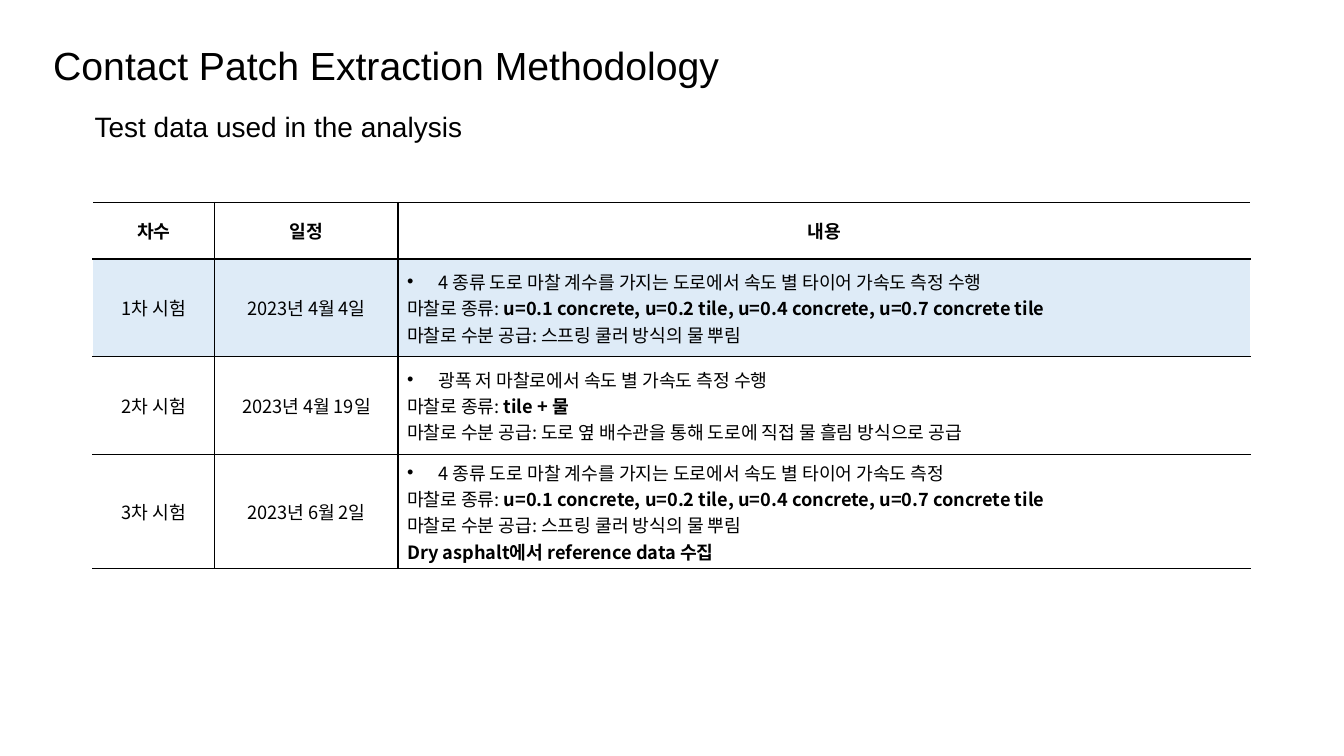
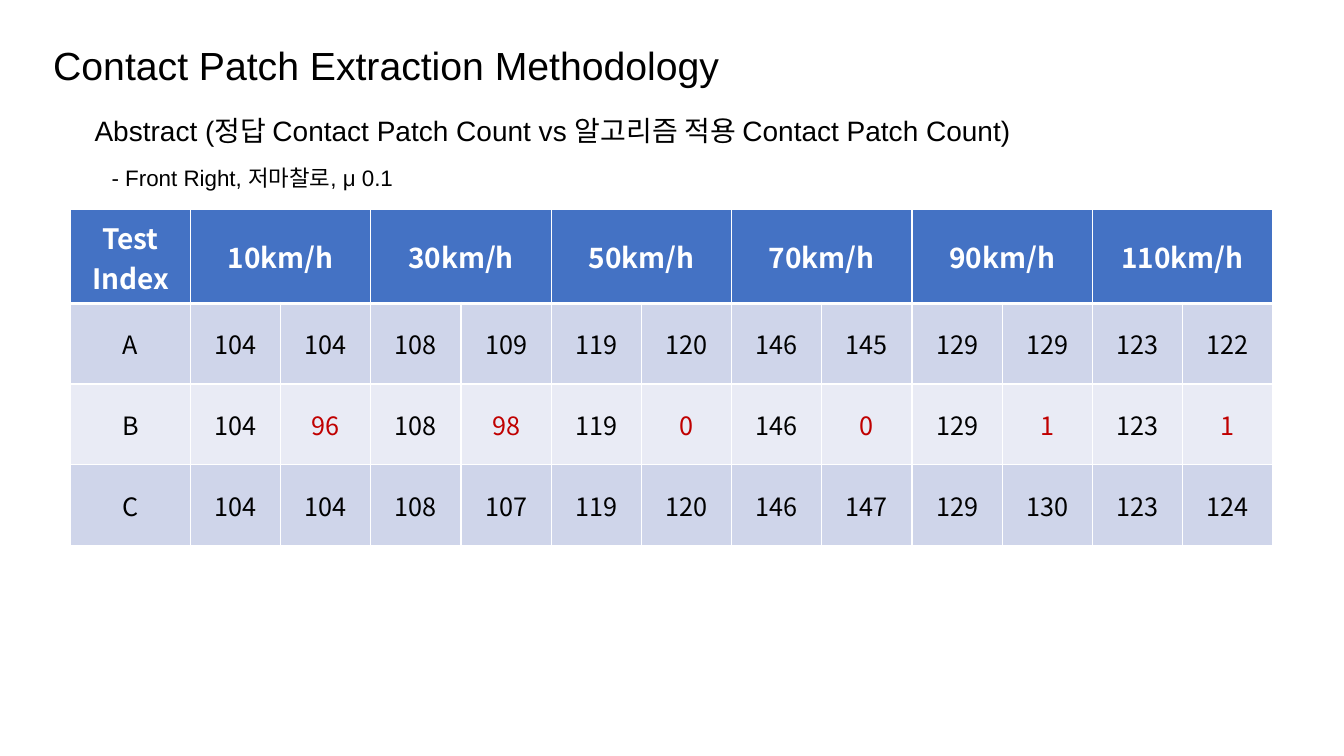
from dataclasses import dataclass

import lxml.etree
import pptx
import pptx.dml.color
import pptx.enum.text
import pptx.oxml.ns
import pptx.util

EMU_PER_PX = 4572  # 200 px to the inch
ALIGN = pptx.enum.text.PP_ALIGN
ANCHOR = pptx.enum.text.MSO_ANCHOR


@dataclass(frozen=True)
class Theme:
    heading_font: str = "Arial"
    table_font: str = "Noto Sans CJK KR"
    ink: str = "000000"
    paper: str = "FFFFFF"
    highlight: str = "DEEBF7"
    header: str = "4472C4"
    band_dark: str = "CFD5EA"
    band_light: str = "E9EBF5"
    alert: str = "C00000"
    title_pt: int = 28
    subtitle_pt: int = 20
    note_pt: int = 16
    schedule_pt: int = 13
    speed_pt: int = 20
    count_pt: int = 18


THEME = Theme()
TITLE = "Contact Patch Extraction Methodology"

# Test schedule: round, date, description lines as (plain, bold) parts
FOUR_SURFACES = ("마찰로 종류: ", "u=0.1 concrete, u=0.2 tile, u=0.4 concrete, u=0.7 concrete tile")
SPRINKLER = ("마찰로 수분 공급: 스프링 쿨러 방식의 물 뿌림", "")
SCHEDULE_HEADINGS = ["차수", "일정", "내용"]
SCHEDULE = [
    ("1차 시험", "2023년 4월 4일", [
        ("4 종류 도로 마찰 계수를 가지는 도로에서 속도 별 타이어 가속도 측정 수행", ""),
        FOUR_SURFACES, SPRINKLER]),
    ("2차 시험", "2023년 4월 19일", [
        ("광폭 저 마찰로에서 속도 별 가속도 측정 수행", ""),
        ("마찰로 종류: ", "tile + 물"),
        ("마찰로 수분 공급: 도로 옆 배수관을 통해 도로에 직접 물 흘림 방식으로 공급", "")]),
    ("3차 시험", "2023년 6월 2일", [
        ("4 종류 도로 마찰 계수를 가지는 도로에서 속도 별 타이어 가속도 측정", ""),
        FOUR_SURFACES, SPRINKLER,
        ("", "Dry asphalt에서 reference data 수집")]),
]
SCHEDULE_HEIGHTS = [112, 194, 194, 226]

# Contact patch counts: the true count per speed, then the count found per index
TRUE_COUNTS = {10: 104, 30: 108, 50: 119, 70: 146, 90: 129, 110: 123}
FOUND_COUNTS = {
    "A": [104, 109, 120, 145, 129, 122],
    "B": [96, 98, 0, 0, 1, 1],
    "C": [104, 107, 120, 147, 130, 124],
}
TOLERANCE = 5


def px(length):
    return pptx.util.Emu(length * EMU_PER_PX)


def rgb(color):
    return pptx.dml.color.RGBColor.from_string(color)


def style_font(paragraph, face, size, color, bold=False):
    font = paragraph.font
    font.name, font.size, font.bold = face, pptx.util.Pt(size), bold
    font.color.rgb = rgb(color)


def add_line(slide, text, box, size, spacing=1.0, anchor=ANCHOR.TOP):
    frame = slide.shapes.add_textbox(*map(px, box)).text_frame
    frame.word_wrap = True
    frame.vertical_anchor = anchor
    paragraph = frame.paragraphs[0]
    paragraph.text = text
    paragraph.line_spacing = spacing
    style_font(paragraph, THEME.heading_font, size, THEME.ink)


def add_titled_slide(deck, subtitle, spacing):
    slide = deck.slides.add_slide(deck.slide_layouts[6])
    add_line(slide, TITLE, (86, 70, 2160, 130), THEME.title_pt, 0.9, ANCHOR.MIDDLE)
    add_line(slide, subtitle, (168, 216, 2328, 100), THEME.subtitle_pt, spacing)
    return slide


def add_grid(slide, left, top, widths, heights):
    table = slide.shapes.add_table(
        len(heights), len(widths), px(left), px(top), px(sum(widths)), px(sum(heights))).table
    table.first_row = table.horz_banding = False
    for column, width in zip(table.columns, widths):
        column.width = px(width)
    for row, height in zip(table.rows, heights):
        row.height = px(height)
    return table


def format_cell(cell, fill, margins, borders):
    """Borders are (color, points) for left, right, top and bottom."""
    cell.vertical_anchor = ANCHOR.MIDDLE
    cell.margin_left = cell.margin_right = px(margins[0])
    cell.margin_top = cell.margin_bottom = px(margins[1])
    properties = cell._tc.get_or_add_tcPr()
    for side, (color, points) in zip("LRTB", borders):
        line = lxml.etree.SubElement(properties, pptx.oxml.ns.qn(f"a:ln{side}"),
                                     w=str(pptx.util.Pt(points)))
        solid = lxml.etree.SubElement(line, pptx.oxml.ns.qn("a:solidFill"))
        lxml.etree.SubElement(solid, pptx.oxml.ns.qn("a:srgbClr"), val=color)
    if fill:
        cell.fill.solid()
        cell.fill.fore_color.rgb = rgb(fill)
    else:
        cell.fill.background()


def style_table_text(paragraph, size, color, bold=False):
    style_font(paragraph, THEME.table_font, size, color, bold)
    lxml.etree.SubElement(paragraph.font._element, pptx.oxml.ns.qn("a:ea"),
                          typeface=THEME.table_font)


def write_centred(cell, text, size, color, bold=False):
    paragraph = cell.text_frame.paragraphs[0]
    paragraph.text = text
    paragraph.alignment = ALIGN.CENTER
    style_table_text(paragraph, size, color, bold)


def write_description(cell, lines):
    """The first line is bulleted; the others hang from the same edge."""
    frame = cell.text_frame
    for index, (plain, strong) in enumerate(lines):
        paragraph = frame.add_paragraph() if index else frame.paragraphs[0]
        properties = paragraph._p.get_or_add_pPr()
        properties.set("marL", str(px(62)))
        properties.set("indent", str(px(-62)))
        if index:
            lxml.etree.SubElement(properties, pptx.oxml.ns.qn("a:buNone"))
        else:
            lxml.etree.SubElement(properties, pptx.oxml.ns.qn("a:buFont"), typeface="Arial")
            lxml.etree.SubElement(properties, pptx.oxml.ns.qn("a:buChar"), char="•")
        style_table_text(paragraph, THEME.schedule_pt, THEME.ink)
        for text, bold in ((plain, False), (strong, True)):
            if text:
                run = paragraph.add_run()
                run.text = text
                if bold:
                    run.font.bold = True


def add_schedule(slide):
    table = add_grid(slide, 184, 402, [242, 364, 1692], SCHEDULE_HEIGHTS)
    inner, open_side, rule = (THEME.ink, 1), (THEME.paper, 1), (THEME.ink, 2.25)
    for r, row in enumerate([SCHEDULE_HEADINGS, *SCHEDULE]):
        for c, content in enumerate(row):
            cell = table.cell(r, c)
            format_cell(cell, THEME.highlight if r == 1 else None, (18, 10), (
                open_side if c == 0 else inner,
                open_side if c == len(row) - 1 else inner,
                rule if r == 1 else inner,
                rule if r == 0 else inner))
            if isinstance(content, str):
                write_centred(cell, content, THEME.schedule_pt, THEME.ink, r == 0)
            else:
                write_description(cell, content)


def add_counts(slide):
    columns = 1 + 2 * len(TRUE_COUNTS)
    table = add_grid(slide, 140, 416, [238] + [179] * (columns - 1),
                     [186] + [160] * len(FOUND_COUNTS))
    thin, thick = (THEME.paper, 1), (THEME.paper, 3)
    fills = [THEME.header, THEME.band_dark, THEME.band_light, THEME.band_dark]
    for r, fill in enumerate(fills):
        for c in range(columns):
            format_cell(table.cell(r, c), fill, (26, 14), (
                thin, thin, thick if r == 1 else thin, thick if r == 0 else thin))

    # Header: one merged cell for each speed
    write_centred(table.cell(0, 0), "Test Index", THEME.speed_pt, THEME.paper, True)
    for c, speed in enumerate(TRUE_COUNTS):
        heading = table.cell(0, 1 + 2 * c)
        heading.merge(table.cell(0, 2 + 2 * c))
        write_centred(heading, f"{speed}km/h", THEME.speed_pt, THEME.paper, True)

    # Body: true and found counts side by side, large misses in red
    for r, (index, found_counts) in enumerate(FOUND_COUNTS.items(), 1):
        write_centred(table.cell(r, 0), index, THEME.count_pt, THEME.ink)
        for c, (true, found) in enumerate(zip(TRUE_COUNTS.values(), found_counts)):
            color = THEME.alert if abs(true - found) > TOLERANCE else THEME.ink
            write_centred(table.cell(r, 1 + 2 * c), str(true), THEME.count_pt, THEME.ink)
            write_centred(table.cell(r, 2 + 2 * c), str(found), THEME.count_pt, color)


def main():
    deck = pptx.Presentation()
    deck.slide_width, deck.slide_height = px(2667), px(1500)

    # Slide 1: test schedule
    add_schedule(add_titled_slide(deck, "Test data used in the analysis", 0.9))

    # Slide 2: true against found counts
    comparison = add_titled_slide(
        deck, "Abstract (정답 Contact Patch Count vs 알고리즘 적용 Contact Patch Count)", 1.0)
    add_counts(comparison)
    add_line(comparison, "- Front Right, 저마찰로, μ 0.1", (202, 316, 2328, 100), THEME.note_pt)

    deck.save("out.pptx")


if __name__ == "__main__":
    main()
